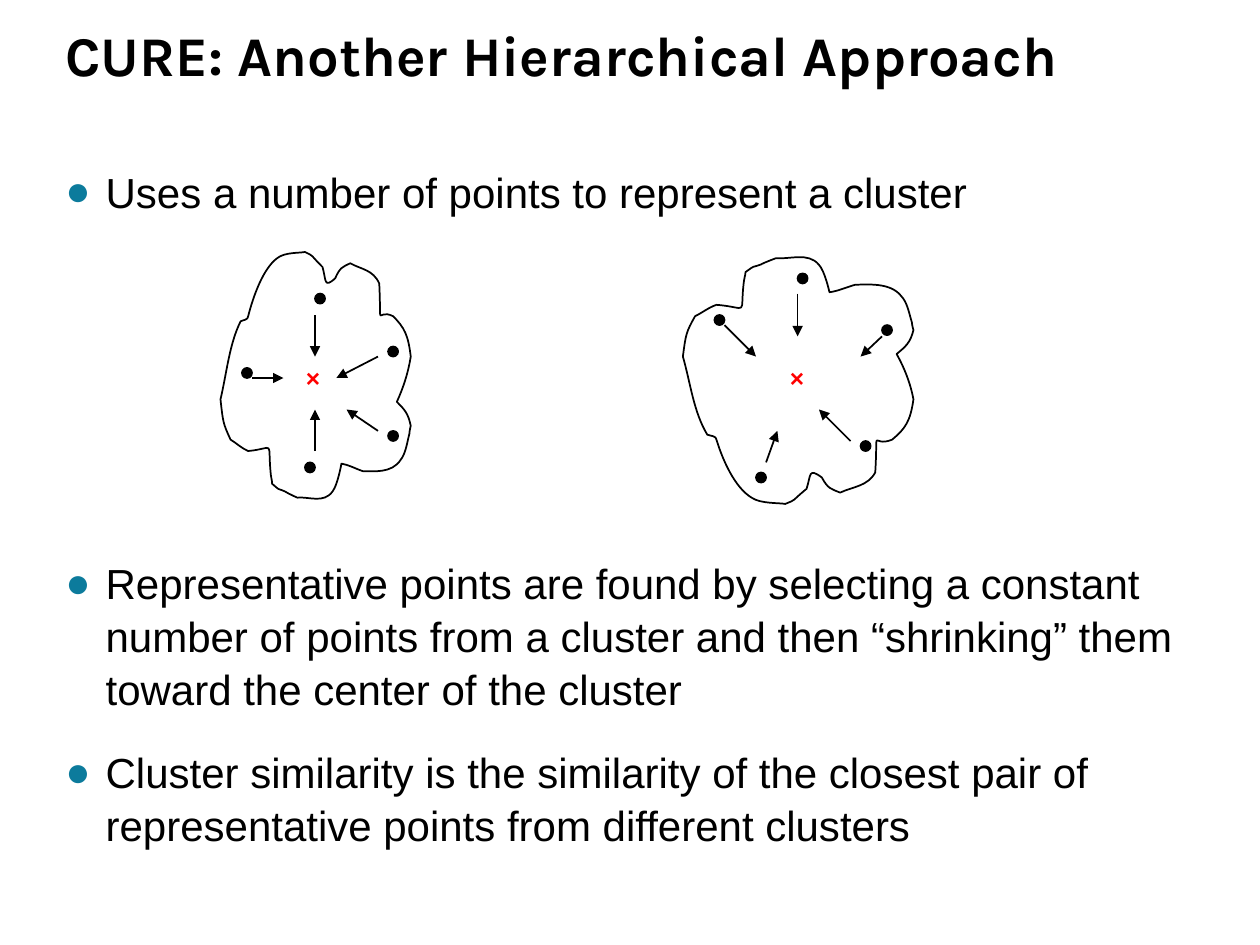
from dataclasses import dataclass

from lxml.etree import SubElement
from pptx import Presentation
from pptx.dml.color import RGBColor
from pptx.enum.shapes import MSO_CONNECTOR, MSO_SHAPE
from pptx.enum.text import MSO_ANCHOR, MSO_AUTO_SIZE, PP_ALIGN
from pptx.oxml.ns import qn
from pptx.util import Inches, Pt

COLORS = {"ink": "000000", "bullet": "0C7B9C", "center": "FF0000"}
DOT_SIZE = 0.08
BULLET_INDENT = 0.32

Point = tuple[float, float]

# Cluster outline: a start point, then two control points and an end point per curve
OUTLINE_START: Point = (1.91, 2.55)
OUTLINE_CURVES: list[tuple[float, ...]] = [
    (1.82, 2.73, 1.8, 2.96, 1.75, 3.17),
    (1.77, 3.35, 1.77, 3.36, 1.83, 3.49),
    (1.88, 3.52, 1.92, 3.56, 1.97, 3.58),
    (2.19, 3.56, 2.12, 3.48, 2.15, 3.77),
    (2.15, 3.79, 2.16, 3.81, 2.16, 3.84),
    (2.23, 3.9, 2.19, 3.87, 2.26, 3.9),
    (2.29, 3.92, 2.36, 3.95, 2.36, 3.95),
    (2.45, 3.94, 2.57, 4, 2.64, 3.9),
    (2.68, 3.85, 2.71, 3.68, 2.71, 3.68),
    (2.77, 3.69, 2.82, 3.72, 2.88, 3.74),
    (2.96, 3.74, 3.11, 3.76, 3.18, 3.65),
    (3.22, 3.6, 3.23, 3.52, 3.25, 3.44),
    (3.25, 3.42, 3.26, 3.38, 3.26, 3.38),
    (3.24, 3.28, 3.21, 3.25, 3.15, 3.19),
    (3.2, 3.08, 3.24, 2.96, 3.26, 2.83),
    (3.24, 2.66, 3.21, 2.6, 3.12, 2.51),
    (2.98, 2.44, 3.03, 2.65, 3.01, 2.25),
    (2.96, 2.14, 2.87, 2.14, 2.78, 2.09),
    (2.72, 2.12, 2.7, 2.12, 2.66, 2.21),
    (2.57, 2.29, 2.59, 2.23, 2.56, 2.12),
    (2.45, 2.01, 2.5, 2.04, 2.42, 2),
    (2.38, 2.01, 2.26, 2, 2.2, 2.05),
    (2.09, 2.13, 2.01, 2.35, 1.97, 2.51),
    (1.97, 2.54, 1.93, 2.54, 1.91, 2.55),
]
OUTLINE_LEFT, OUTLINE_WIDTH = 1.75, 1.51
OUTLINE_MIDDLE = 3


@dataclass
class Cluster:
    left: float
    width: float
    mirrored: bool
    center: Point
    points: list[Point]
    arrows: list[tuple[Point, Point]]

    def place(self, x: float, y: float) -> Point:
        """Stretch an outline point to this cluster, upside down if mirrored."""
        stretched = self.left + (x - OUTLINE_LEFT) * self.width / OUTLINE_WIDTH
        return stretched, 2 * OUTLINE_MIDDLE - y if self.mirrored else y


CLUSTERS = [
    Cluster(
        1.75, 1.51, False, (2.33, 2.83),
        [(2.5, 2.33), (3.08, 2.75), (3.08, 3.42), (2.42, 3.67), (1.92, 2.92)],
        [((2.5, 2.5), (2.5, 2.83)), ((3, 2.83), (2.67, 3)),
         ((3, 3.42), (2.75, 3.25)), ((2.5, 3.58), (2.5, 3.25)),
         ((2, 3), (2.25, 3))],
    ),
    Cluster(
        5.42, 1.83, True, (6.17, 2.83),
        [(6.33, 2.17), (7, 2.58), (6.83, 3.5), (6, 3.75), (5.67, 2.5)],
        [((6.33, 2.33), (6.33, 2.67)), ((7, 2.67), (6.83, 2.83)),
         ((6.75, 3.5), (6.5, 3.25)), ((6.08, 3.67), (6.17, 3.42)),
         ((5.75, 2.58), (6, 2.83))],
    ),
]

# Each statement with the space before it in points
STATEMENTS = [
    ("Uses a number of points to represent a cluster", 0),
    ("Representative points are found by selecting a constant number of points "
     "from a cluster and then “shrinking” them toward the center of the cluster", 193.5),
    ("Cluster similarity is the similarity of the closest pair of "
     "representative points from different clusters", 17.5),
]


def rgb(name: str) -> RGBColor:
    return RGBColor.from_string(COLORS[name])


def write(paragraph, text: str, *, size: float, font: str = "Arial", color: str = "ink",
          bold: bool = False, line_spacing: float = 1.0, space_before: float = 0,
          bullet: bool = False) -> None:
    paragraph.alignment = PP_ALIGN.LEFT
    paragraph.line_spacing = line_spacing
    paragraph.space_before = Pt(space_before)
    if bullet:
        properties = paragraph._p.get_or_add_pPr()
        properties.set("marL", str(Inches(BULLET_INDENT)))
        properties.set("indent", str(-Inches(BULLET_INDENT)))
        bullet_color = SubElement(properties, qn("a:buClr"))
        SubElement(bullet_color, qn("a:srgbClr"), val=COLORS["bullet"])
        SubElement(properties, qn("a:buFont"), typeface="Arial")
        SubElement(properties, qn("a:buChar"), char="●")
    run = paragraph.add_run()
    run.text = text
    run.font.name, run.font.size, run.font.bold = font, Pt(size), bold
    run.font.color.rgb = rgb(color)


def add_text_frame(slide, left: float, top: float, width: float, height: float):
    box = slide.shapes.add_textbox(Inches(left), Inches(top), Inches(width), Inches(height))
    box.text_frame.word_wrap = True
    return box.text_frame


def set_line(shape) -> None:
    shape.line.color.rgb = rgb("ink")
    shape.line.width = Pt(1)


def draw_outline(slide, cluster: Cluster) -> None:
    vertices = [cluster.place(*curve[i:i + 2]) for curve in OUTLINE_CURVES for i in (0, 2, 4)]
    start_x, start_y = cluster.place(*OUTLINE_START)
    builder = slide.shapes.build_freeform(Inches(start_x), Inches(start_y))
    builder.add_line_segments([(Inches(x), Inches(y)) for x, y in vertices], close=True)
    outline = builder.convert_to_shape()
    # Turn every three line segments into one Bézier curve
    segments = list(outline._element.iter(qn("a:lnTo")))
    for first in range(0, len(segments), 3):
        curve = segments[first].makeelement(qn("a:cubicBezTo"))
        segments[first].addprevious(curve)
        for segment in segments[first:first + 3]:
            curve.append(segment[0])
            segment.getparent().remove(segment)
    outline.fill.background()
    outline.shadow.inherit = False
    set_line(outline)


def draw_point(slide, point: Point) -> None:
    left, top = point
    dot = slide.shapes.add_shape(MSO_SHAPE.OVAL, Inches(left), Inches(top),
                                 Inches(DOT_SIZE), Inches(DOT_SIZE))
    dot.fill.solid()
    dot.fill.fore_color.rgb = rgb("ink")
    dot.shadow.inherit = False
    set_line(dot)


def draw_arrow(slide, start: Point, end: Point) -> None:
    arrow = slide.shapes.add_connector(MSO_CONNECTOR.STRAIGHT,
                                       *(Inches(value) for value in start + end))
    set_line(arrow)
    SubElement(arrow.line._get_or_add_ln(), qn("a:tailEnd"), type="triangle")
    SubElement(arrow._element.spPr, qn("a:effectLst"))


def draw_cluster(slide, cluster: Cluster) -> None:
    draw_outline(slide, cluster)
    for point in cluster.points:
        draw_point(slide, point)
    for start, end in cluster.arrows:
        draw_arrow(slide, start, end)
    center = add_text_frame(slide, *cluster.center, 0.25, 0.33)
    write(center.paragraphs[0], "×", size=14, color="center", bold=True)


def main() -> None:
    presentation = Presentation()
    presentation.slide_width, presentation.slide_height = Inches(10), Inches(7.5)
    slide = presentation.slides.add_slide(presentation.slide_layouts[5])

    # Title
    title = slide.shapes.title
    title.left, title.top = Inches(0.42), Inches(0.17)
    title.width, title.height = Inches(9.06), Inches(0.58)
    title.text_frame.vertical_anchor = MSO_ANCHOR.BOTTOM
    title.text_frame.auto_size = MSO_AUTO_SIZE.NONE
    write(title.text_frame.paragraphs[0], "CURE: Another Hierarchical Approach",
          size=32, font="Karla", bold=True, line_spacing=1.12)

    # Statements, with room for the clusters after the first
    body = add_text_frame(slide, 0.42, 1.25, 9.1, 5.67)
    for index, (statement, space_before) in enumerate(STATEMENTS):
        paragraph = body.add_paragraph() if index else body.paragraphs[0]
        write(paragraph, statement, size=24, line_spacing=1.05,
              space_before=space_before, bullet=True)

    # Clusters
    for cluster in CLUSTERS:
        draw_cluster(slide, cluster)

    presentation.save("out.pptx")


if __name__ == "__main__":
    main()
